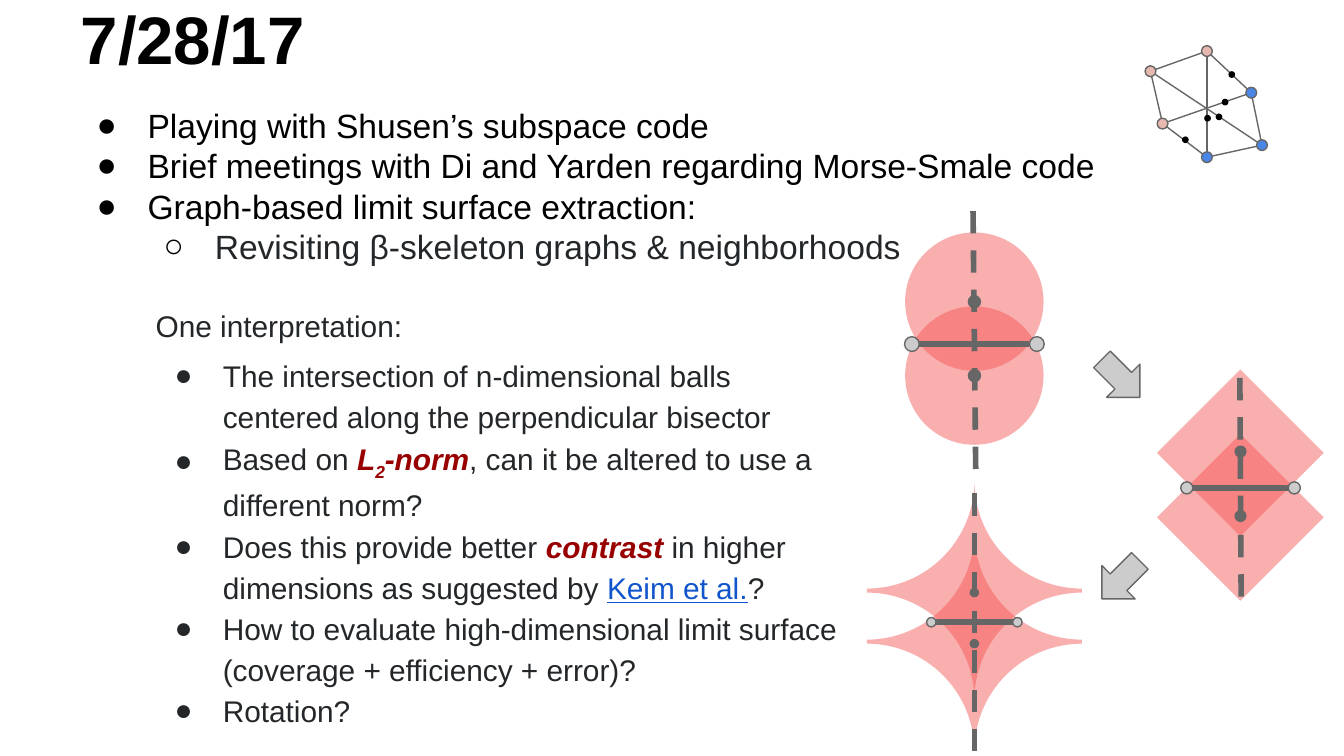
from lxml.etree import SubElement
from pptx import Presentation
from pptx.dml.color import RGBColor
from pptx.enum.dml import MSO_LINE
from pptx.enum.shapes import MSO_CONNECTOR, MSO_SHAPE
from pptx.enum.text import MSO_ANCHOR, MSO_AUTO_SIZE, PP_ALIGN
from pptx.oxml.ns import qn
from pptx.util import Inches, Pt

BLACK = RGBColor(0x00, 0x00, 0x00)
INK = RGBColor(0x24, 0x27, 0x29)
DARK_RED = RGBColor(0x98, 0x00, 0x00)
LINK_BLUE = RGBColor(0x11, 0x55, 0xCC)
RED = RGBColor(0xF4, 0x4E, 0x4E)
GRAY = RGBColor(0x66, 0x66, 0x66)
SILVER = RGBColor(0xCC, 0xCC, 0xCC)
PINK = RGBColor(0xE6, 0xB8, 0xAF)
BLUE = RGBColor(0x4A, 0x86, 0xE8)

prs = Presentation()
prs.slide_width, prs.slide_height = Inches(10), Inches(5.625)
s = prs.slides.add_slide(prs.slide_layouts[5])
COL = prs.slide_width / 100
ROW = prs.slide_height / 56.25


def centered(parent, kind, x, y, w, h, fill, outline=None, alpha=None):
    """Add a shape around the grid point (x, y)."""
    sp = parent.add_shape(kind, int((x - w / 2) * COL), int((y - h / 2) * ROW),
                          int(w * COL), int(h * ROW))
    sp.shadow.inherit = False
    sp.fill.solid()
    sp.fill.fore_color.rgb = fill
    if alpha:
        color = sp.fill._xPr.find(qn("a:solidFill"))[0]
        SubElement(color, qn("a:alpha")).set("val", str(alpha * 1000))
    if outline is None:
        sp.line.fill.background()
    else:
        sp.line.color.rgb = outline
        sp.line.width = Pt(0.75)
    return sp


def connect(parent, x1, y1, x2, y2, width, dash=None):
    ln = parent.add_connector(MSO_CONNECTOR.STRAIGHT, int(x1 * COL), int(y1 * ROW),
                              int(x2 * COL), int(y2 * ROW))
    ln.line.color.rgb = GRAY
    ln.line.width = Pt(width)
    if dash:
        ln.line.dash_style = dash
    SubElement(ln._element.spPr, qn("a:effectLst"))


# Title
title = s.shapes.title
title.left, title.top, title.width, title.height = 0, 0, prs.slide_width, int(6.8 * ROW)
title.text = "7/28/17"
p = title.text_frame.paragraphs[0]
p.alignment = PP_ALIGN.LEFT
p._p.get_or_add_pPr().set("indent", str(Inches(0.5)))
for name, value in dict(name="Arial", size=Pt(36), bold=True, color=BLACK).items():
    if name == "color":
        p.runs[0].font.color.rgb = value
    else:
        setattr(p.runs[0].font, name, value)

# Text blocks: paragraphs are (bullet, left margin, runs)
STRONG = dict(color=DARK_RED, bold=True, italic=True)
body = [
    ("●", 0.5, [("Playing with Shusen’s subspace code", {})]),
    ("●", 0.5, [("Brief meetings with Di and Yarden regarding Morse-Smale code", {})]),
    ("●", 0.5, [("Graph-based limit surface extraction:", {})]),
    ("○", 1, [("Revisiting β-skeleton graphs & neighborhoods", dict(color=INK))]),
]
interpretation = [
    (None, 0, [("One interpretation:", {})]),
    ("●", 0.5, [("The intersection of n-dimensional balls centered along the "
                 "perpendicular bisector", {})]),
    ("●", 0.5, [("Based on ", {}), ("L", STRONG), ("2", dict(STRONG, baseline="-25000")),
                ("-norm", STRONG), (", can it be altered to use a different norm?", {})]),
    ("●", 0.5, [("Does this provide better ", {}), ("contrast", STRONG),
                (" in higher dimensions as suggested by ", {}),
                ("Keim et al.", dict(color=LINK_BLUE, underline=True)), ("?", {})]),
    ("●", 0.5, [("How to evaluate high-dimensional limit surface "
                 "(coverage + efficiency + error)?", {})]),
    ("●", 0.5, [("Rotation?", {})]),
]
blocks = [
    ((5, 6.8, 90, 15.1), body, 18, BLACK, 0.38, 1),
    ((10.6, 21.9, 53.9, 33.9), interpretation, 16, INK, 0.36, 1.15),
]
for (x, y, w, h), paragraphs, size, ink, hang, spacing in blocks:
    box = s.shapes.add_textbox(int(x * COL), int(y * ROW), int(w * COL), int(h * ROW))
    tf = box.text_frame
    for i, (bullet, margin, runs) in enumerate(paragraphs):
        p = tf.add_paragraph() if i else tf.paragraphs[0]
        if bullet:
            p.line_spacing = spacing
            pPr = p._p.get_or_add_pPr()
            pPr.set("marL", str(Inches(margin)))
            pPr.set("indent", str(-Inches(hang)))
            color = SubElement(SubElement(pPr, qn("a:buClr")), qn("a:srgbClr"))
            color.set("val", str(ink))
            SubElement(pPr, qn("a:buFont")).set("typeface", "Arial")
            SubElement(pPr, qn("a:buChar")).set("char", bullet)
        for text, extra in runs:
            r = p.add_run()
            r.text = text
            for name, value in (dict(name="Arial", size=Pt(size), color=ink) | extra).items():
                if name == "color":
                    r.font.color.rgb = value
                elif name == "baseline":
                    r._r.get_or_add_rPr().set(name, value)
                else:
                    setattr(r.font, name, value)
    if paragraphs is interpretation:
        tf.paragraphs[1].space_before = Pt(4.8)

for frame in [title.text_frame, *(sp.text_frame for sp in s.shapes if sp != title)]:
    frame.word_wrap = True
    frame.auto_size = MSO_AUTO_SIZE.NONE
    for side in ("left", "top", "right", "bottom"):
        setattr(frame, f"margin_{side}", Inches(0.1))
title.text_frame.vertical_anchor = MSO_ANCHOR.BOTTOM

# Pairs of overlapping balls, one figure per norm:
# kind, centre x, ball centres, ball size, half segment, segment y, axis ends,
# axis tilt, focus centres, endpoint size, focus size
figures = [
    (MSO_SHAPE.OVAL, 72.5, (22.45, 27.95), (10.3, 10.3), 4.65, 25.6, (34.9, 15.6),
     0.1, (22.45, 27.95), 1.1, 0.9),
    (MSO_SHAPE.DIAMOND, 92.3, (33.7, 38.5), (12.4, 12.4), 4, 36.3, (44.4, 27.6),
     0.05, (33.6, 38.4), 0.9, 0.8),
    (MSO_SHAPE.PLAQUE, 72.5, (43.95, 47.75), (16, 16.3), 3.2, 46.3, (55.9, 35.9),
     0, (44.1, 47.9), 0.7, 0.6),
]
for kind, cx, balls, size, half, mid, (bottom, top), tilt, foci, end_d, focus_d in figures:
    group = s.shapes.add_group_shape().shapes
    for y in balls:
        ball = centered(group, kind, cx, y, *size, RED, alpha=45)
        if kind == MSO_SHAPE.PLAQUE:
            ball.adjustments[0] = 0.5
    for x in (cx - half, cx + half):
        centered(group, MSO_SHAPE.OVAL, x, mid, end_d, end_d, SILVER, GRAY)
    inner = half - end_d / 2
    connect(group, cx - inner, mid, cx + inner, mid, 3)
    connect(group, cx + tilt, bottom, cx - tilt, top, 3, MSO_LINE.DASH)
    for y in foci:
        centered(group, MSO_SHAPE.OVAL, cx, y, focus_d, focus_d, GRAY, GRAY)

for y, angle in ((28.15, 45), (43.15, 135)):
    centered(s.shapes, MSO_SHAPE.RIGHT_ARROW, 83.4, y, 4, 3.5, SILVER, GRAY).rotation = angle

# Small graph in the corner
nodes = {
    "A": (85.6, 5.3, PINK), "B": (86.5, 9.2, PINK), "C": (89.8, 3.8, PINK),
    "D": (93.1, 6.9, BLUE), "E": (89.8, 11.7, BLUE), "F": (93.9, 10.8, BLUE),
}
for a, b in ("AB", "BE", "CE", "AC", "DF", "FE", "DC", "BD", "AF"):
    connect(s.shapes, *nodes[a][:2], *nodes[b][:2], 0.75)
for x, y, fill in nodes.values():
    centered(s.shapes, MSO_SHAPE.OVAL, x, y, 0.8, 0.8, fill, GRAY)
for x, y in ((89.85, 8.8), (91.15, 7.6), (88.2, 10.4), (91.65, 5.55), (90.7, 8.7)):
    centered(s.shapes, MSO_SHAPE.OVAL, x, y, 0.5, 0.5, BLACK)

prs.save("out.pptx")
